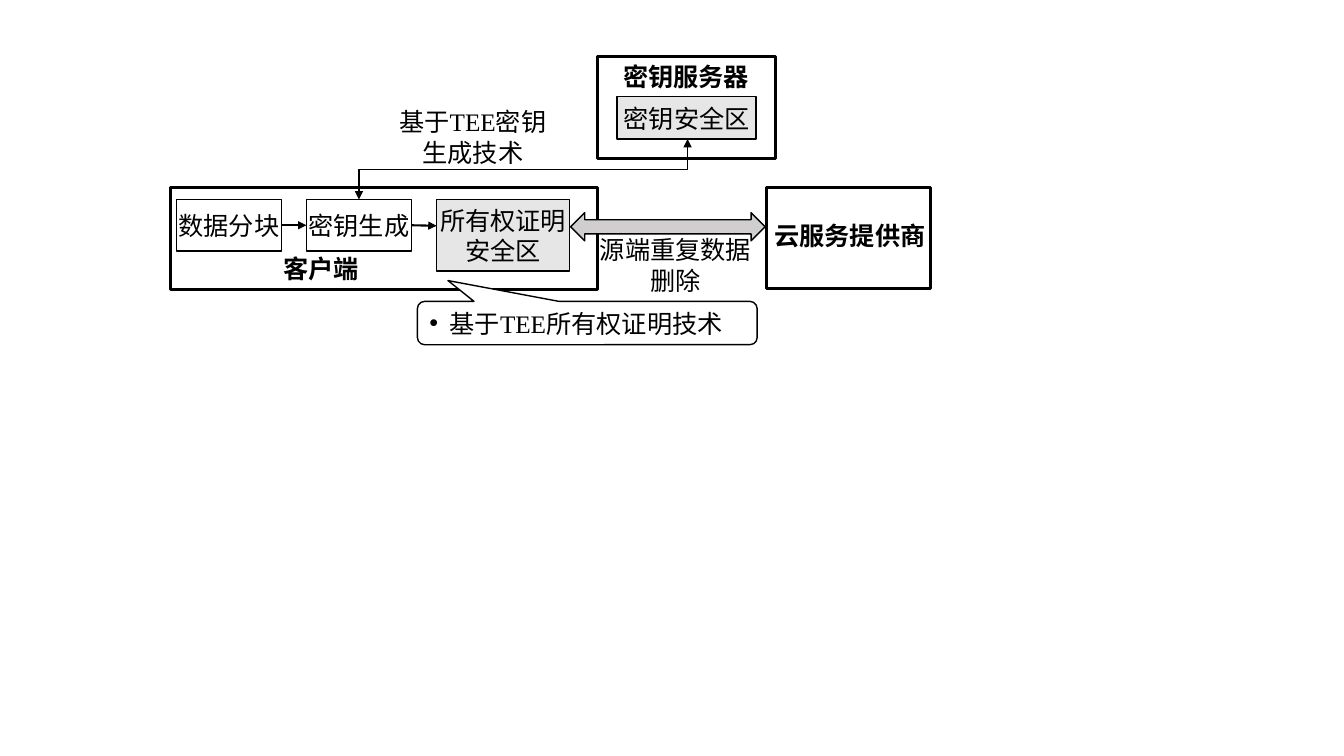
from lxml import etree
from pptx import Presentation
from pptx.dml.color import RGBColor
from pptx.enum.shapes import MSO_CONNECTOR, MSO_SHAPE
from pptx.enum.text import MSO_ANCHOR, MSO_AUTO_SIZE, PP_ALIGN
from pptx.oxml.ns import qn
from pptx.util import Inches, Pt

BLACK = RGBColor(0x00, 0x00, 0x00)
WHITE = RGBColor(0xFF, 0xFF, 0xFF)
PALE_GRAY = RGBColor(0xE7, 0xE6, 0xE6)
ARROW_GRAY = RGBColor(0xD0, 0xCE, 0xCE)
RECTANGLE = MSO_SHAPE.RECTANGLE
DOUBLE_ARROW = MSO_SHAPE.LEFT_RIGHT_ARROW
CALLOUT = MSO_SHAPE.ROUNDED_RECTANGULAR_CALLOUT
STRAIGHT, ELBOW = MSO_CONNECTOR.STRAIGHT, MSO_CONNECTOR.ELBOW
LEFT, CENTER = PP_ALIGN.LEFT, PP_ALIGN.CENTER
MIDDLE = MSO_ANCHOR.MIDDLE
GROW = MSO_AUTO_SIZE.SHAPE_TO_FIT_TEXT
LEFT_SIDE, RIGHT_SIDE = 1, 3
STEP_TOP, STEP_WIDTH, STEP_HEIGHT = 1.98, 1.04, 0.51


class Diagram:
    """Draws boxes, labels and arrows in one style on one slide."""

    def __init__(self, page, font="Times New Roman", size=18):
        self.page = page
        self.font = font
        self.size = size

    def set_text(self, shape, text, align, bold=False):
        para = shape.text_frame.paragraphs[0]
        para.text = text
        para.alignment = align
        para.font.name = self.font
        para.font.size = Pt(self.size)
        para.font.bold = bold
        para.font.color.rgb = BLACK

    def shape(self, kind, place, fill=None, width=1):
        shape = self.page.shapes.add_shape(kind, *map(Inches, place))
        shape.shadow.inherit = False
        shape.line.color.rgb = BLACK
        shape.line.width = Pt(width)
        if fill is None:
            shape.fill.background()
        else:
            shape.fill.solid()
            shape.fill.fore_color.rgb = fill
        return shape

    def frame(self, place, fill=None):
        return self.shape(RECTANGLE, place, fill, 2)

    def step(self, text, place, fill=None):
        box = self.shape(RECTANGLE, place, fill)
        box.text_frame.margin_left = box.text_frame.margin_right = 0
        box.text_frame.vertical_anchor = MIDDLE
        self.set_text(box, text, CENTER)
        return box

    def label(self, text, place, align=CENTER, bold=False, wrap=True):
        box = self.page.shapes.add_textbox(*map(Inches, place))
        box.text_frame.word_wrap = wrap
        box.text_frame.auto_size = GROW
        self.set_text(box, text, align, bold)

    def callout(self, text, place, tip):
        box = self.shape(CALLOUT, place, WHITE)
        box.adjustments[0], box.adjustments[1] = tip
        box.text_frame.vertical_anchor = MIDDLE
        properties = box.text_frame.paragraphs[0]._p.get_or_add_pPr()
        properties.set("marL", str(Inches(0.2)))
        properties.set("indent", str(Inches(-0.2)))
        font = etree.SubElement(properties, qn("a:buFont"))
        font.set("typeface", "Arial")
        etree.SubElement(properties, qn("a:buChar")).set("char", "•")
        self.set_text(box, text, LEFT)

    def arrow(self, kind, start, end, width, heads=("tailEnd",)):
        link = self.page.shapes.add_connector(kind, *map(Inches, start + end))
        link.line.color.rgb = BLACK
        link.line.width = Pt(width)
        line = link.line._get_or_add_ln()
        for head in heads:
            etree.SubElement(line, qn("a:" + head)).set("type", "triangle")
        etree.SubElement(link._element.spPr, qn("a:effectLst"))
        return link

    def upright_elbow(self, start, end):
        """Turns an elbow by a quarter so that it leaves and arrives vertically."""
        middle_x, middle_y = (start[0] + end[0]) / 2, (start[1] + end[1]) / 2
        half_x, half_y = (end[0] - start[0]) / 2, (end[1] - start[1]) / 2
        link = self.arrow(ELBOW, (middle_x - half_y, middle_y + half_x),
                          (middle_x + half_y, middle_y - half_x), 1,
                          ("headEnd", "tailEnd"))
        link._element.spPr.find(qn("a:xfrm")).set("rot", str(90 * 60000))


def main():
    deck = Presentation()
    deck.slide_width, deck.slide_height = Inches(13.33), Inches(7.5)
    diagram = Diagram(deck.slides.add_slide(deck.slide_layouts[6]))

    diagram.frame((7.6, 1.86, 1.63, 1))
    diagram.label("云服务提供商", (7.58, 2.14, 1.91, 0.4), LEFT, bold=True)
    diagram.frame((5.93, 0.56, 1.76, 1.01))
    diagram.frame((1.69, 1.86, 4.24, 1.01), WHITE)

    chunking, key_making = [
        diagram.step(text, (left, STEP_TOP, STEP_WIDTH, STEP_HEIGHT))
        for text, left in (("数据分块", 1.75), ("密钥生成", 3.04))]
    diagram.upright_elbow((3.56, STEP_TOP), (6.82, 1.38))
    link = diagram.arrow(STRAIGHT, (2.79, 2.24), (3.04, 2.24), 1.5)
    link.begin_connect(chunking, RIGHT_SIDE)
    link.end_connect(key_making, LEFT_SIDE)

    diagram.step("密钥安全区", (6.12, 0.96, 1.38, 0.42), PALE_GRAY)
    diagram.shape(DOUBLE_ARROW, (5.66, 2.11, 1.93, 0.28), ARROW_GRAY)
    diagram.label("基于TEE密钥生成技术", (3.81, 1.01, 1.76, 0.71))
    diagram.label("密钥服务器", (6.07, 0.56, 1.47, 0.4), bold=True, wrap=False)
    link = diagram.arrow(STRAIGHT, (4.08, 2.24), (4.33, 2.24), 1.5)
    link.begin_connect(key_making, RIGHT_SIDE)
    diagram.step("所有权证明安全区", (4.33, STEP_TOP, 1.32, 0.71), PALE_GRAY)
    diagram.label("客户端", (2.71, 2.46, 1.08, 0.4), LEFT, bold=True)
    diagram.callout("基于TEE所有权证明技术", (4.14, 2.99, 3.37, 0.43), (-0.41, -0.98))
    diagram.label("源端重复数据删除", (5.82, 2.28, 1.76, 0.71))

    deck.save("out.pptx")


if __name__ == "__main__":
    main()
